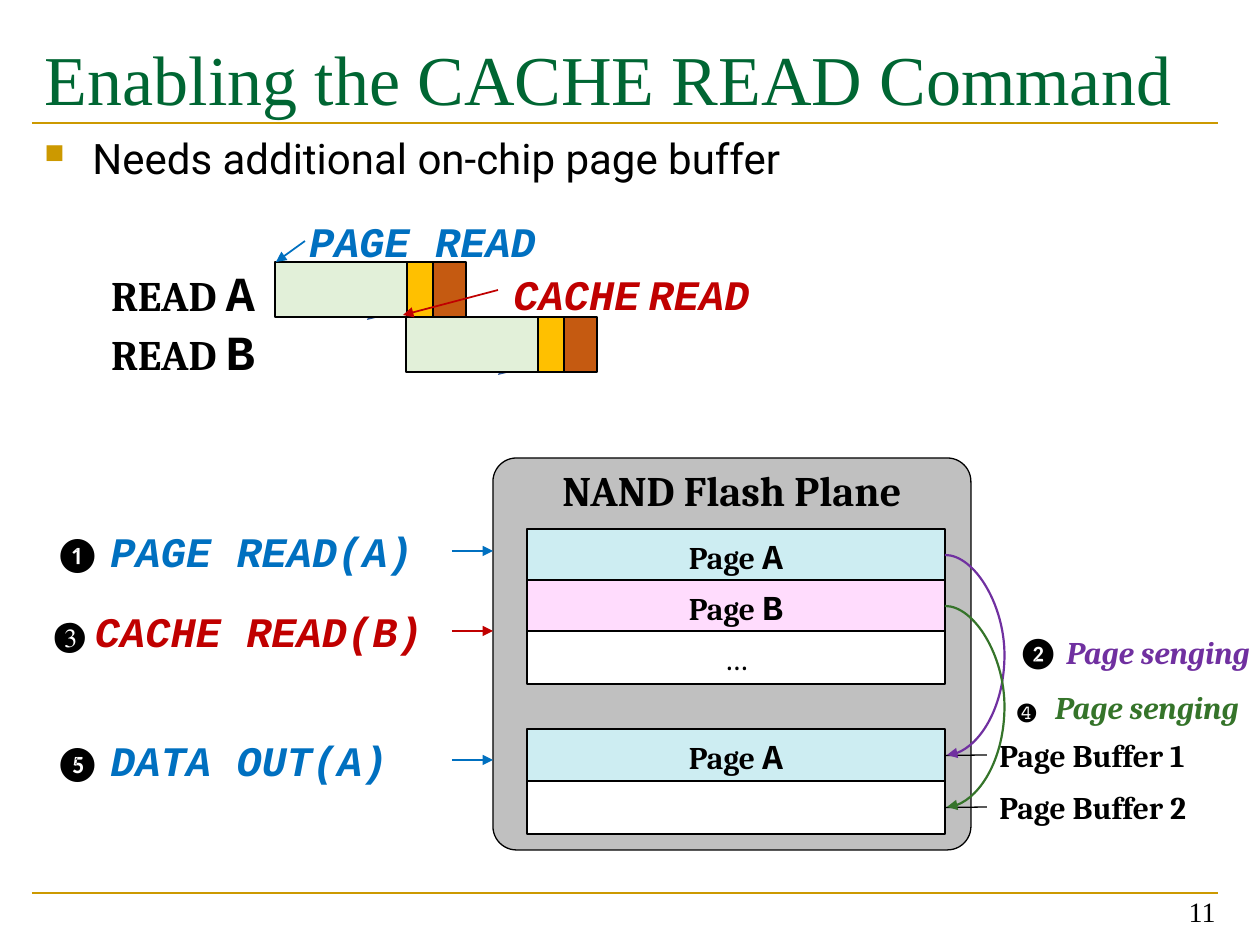
import dataclasses

import lxml.etree
import pptx
import pptx.dml.color
import pptx.enum.shapes
import pptx.enum.text
import pptx.oxml.ns
import pptx.util

SCALE = 914400 / 126  # EMU in one px
SHAPE = pptx.enum.shapes.MSO_SHAPE
CONNECTOR = pptx.enum.shapes.MSO_CONNECTOR
ALIGN = pptx.enum.text.PP_ALIGN
ANCHOR = pptx.enum.text.MSO_ANCHOR
AUTO = pptx.enum.text.MSO_AUTO_SIZE


@dataclasses.dataclass(frozen=True)
class Theme:
    black: str = "000000"
    white: str = "FFFFFF"
    title: str = "006633"
    gold: str = "CC9900"
    blue: str = "0070C0"
    navy: str = "2F5597"
    red: str = "C00000"
    purple: str = "7030A0"
    green: str = "35742A"
    plane: str = "C0C0C0"
    page_a: str = "CDEDF2"
    page_b: str = "FFDCFD"
    stages: tuple = ("E2F0D9", "FFC000", "C55A11")
    serif: str = "Times New Roman"
    body: str = "Roboto"
    label: str = "Cambria"
    code: str = "Courier New"
    symbol: str = "Calibri"
    title_pt: int = 40
    letter_pt: int = 28
    body_pt: int = 24
    page_letter_pt: int = 20
    small_pt: int = 18
    number_pt: int = 16


T = Theme()


def px(n):
    return pptx.util.Emu(round(n * SCALE))


def rgb(color):
    return pptx.dml.color.RGBColor.from_string(color)


def child(parent, tag, **attrs):
    el = lxml.etree.SubElement(parent, pptx.oxml.ns.qn(tag))
    for name, value in attrs.items():
        el.set(name, value)
    return el


def run(text, font=T.label, size=T.body_pt, color=T.black, bold=True, italic=False):
    return dict(text=text, font=font, size=size, color=color, bold=bold, italic=italic)


def code(text, color):
    return run(text, T.code, color=color, italic=True)


def write(tf, runs, align=ALIGN.LEFT, anchor=ANCHOR.TOP, inset=None, auto=AUTO.NONE):
    """Fill a text frame with one paragraph; inset is left, top, right, bottom."""
    tf.word_wrap = True
    tf.auto_size = auto
    tf.vertical_anchor = anchor
    if inset:
        tf.margin_left, tf.margin_top, tf.margin_right, tf.margin_bottom = map(px, inset)
    p = tf.paragraphs[0]
    p.alignment = align
    for spec_run in runs:
        r = p.add_run()
        r.text = spec_run["text"]
        r.font.name = spec_run["font"]
        r.font.size = pptx.util.Pt(spec_run["size"])
        r.font.color.rgb = rgb(spec_run["color"])
        r.font.bold = spec_run["bold"]
        r.font.italic = spec_run["italic"]
    return p


def label(s, x, y, w, h, runs, auto=AUTO.SHAPE_TO_FIT_TEXT, **fmt):
    sp = s.shapes.add_textbox(px(x), px(y), px(w), px(h))
    write(sp.text_frame, runs, auto=auto, **fmt)
    return sp


def box(s, x, y, w, h, fill, width=0.75, kind=SHAPE.RECTANGLE):
    sp = s.shapes.add_shape(kind, px(x), px(y), px(w), px(h))
    sp.shadow.inherit = False
    sp.fill.solid()
    sp.fill.fore_color.rgb = rgb(fill)
    sp.line.color.rgb = rgb(T.black)
    sp.line.width = pptx.util.Pt(width)
    return sp


def line(s, x1, y1, x2, y2, color, width=1.0, arrow=True, kind=CONNECTOR.STRAIGHT):
    sp = s.shapes.add_connector(kind, px(x1), px(y1), px(x2), px(y2))
    sp.line.color.rgb = rgb(color)
    sp.line.width = pptx.util.Pt(width)
    if arrow:
        child(sp.line._get_or_add_ln(), "a:tailEnd", type="triangle")
    child(sp._element.spPr, "a:effectLst")
    return sp


def arc(s, x, y1, y2, bulge, color):
    """Curved arrow that leaves and returns on the same side."""
    gap = 2
    sp = line(s, x, y1, x + gap, y2, color, 1.25, kind=CONNECTOR.CURVE)
    guides = sp._element.spPr.prstGeom.get_or_add_avLst()
    child(guides, "a:gd", name="adj1", fmla=f"val {bulge * 100000 // gap}")


def heading(s, x, y, w, h):
    """Title, rules, bullet and slide number."""
    for rule_y in (893, 123):
        line(s, x, rule_y, x + w, rule_y, T.gold, 1.5, arrow=False)
    title = s.shapes.title
    title.left, title.top, title.width, title.height = px(x), px(y), px(w), px(h)
    write(title.text_frame, [run("Enabling the CACHE READ Command", T.serif,
                                 T.title_pt, T.title, bold=False)], inset=(13, 15, 13, 0))

    bullet = label(s, x, 126, w, 766, [run("Needs additional on-chip page buffer",
                                           T.body, bold=False)], auto=AUTO.NONE)
    pPr = bullet.text_frame.paragraphs[0]._p.get_or_add_pPr()
    indent = px(48)
    pPr.set("marL", str(indent))
    pPr.set("indent", str(-indent))
    child(child(pPr, "a:buClr"), "a:srgbClr", val=T.gold)
    child(pPr, "a:buSzPct", val="65000")
    child(pPr, "a:buChar", char="■")

    label(s, 934, 871, 294, 63, [run("11", T.serif, T.number_pt, bold=False)],
          auto=AUTO.NONE, align=ALIGN.RIGHT, anchor=ANCHOR.BOTTOM)


def timeline(s, x, y):
    """Two overlapping reads, each made of three stages."""
    centred = dict(align=ALIGN.CENTER, anchor=ANCHOR.MIDDLE)
    for i, letter in enumerate("AB"):
        left, top = x + 131 * i, y + 55 * i
        line(s, left + 137, top + 20, left + 92, top + 58, T.navy)
        for fill, w in zip(T.stages, (132, 26, 33)):
            box(s, left, top, w, 55, fill, 1.25)
            left += w
        label(s, x - 213, y + 59 * i, 232, 59,
              [run("READ "), run(letter, T.code, T.letter_pt)], inset=(10, 0, 0, 0), **centred)
    label(s, x + 218, y, 277, 63,
          [code("CACHE", T.red), run(" "), code("READ", T.red)], **centred)
    line(s, x + 223, y + 28, x + 128, y + 53, T.red)
    label(s, x + 9, y - 53, 277, 63, [code("PAGE READ", T.blue)], **centred)
    line(s, x + 30, y - 21, x + 1, y, T.blue)


def flash_plane(s, x, y, w, h):
    """Plane with its pages, page buffers and page transfers."""
    plane = box(s, x, y, w, h, T.plane, kind=SHAPE.ROUNDED_RECTANGLE)
    plane.adjustments[0] = 0.06
    flush = dict(align=ALIGN.CENTER, inset=(0, 0, 0, 0))
    write(plane.text_frame, [run("NAND Flash Plane")], **flush)

    row_h = 53
    right = x + w - 26
    rows = []
    for dy, fill, letter in ((71, T.page_a, "A"), (122, T.page_b, "B"), (173, T.white, "…"),
                             (271, T.page_a, "A"), (323, T.white, "")):
        row = box(s, x + 34, y + dy, right - x - 34, row_h, fill)
        rows.append((row, y + dy + row_h // 2))
        if letter == "…":
            write(row.text_frame, [run(letter, size=T.small_pt, bold=False)],
                  anchor=ANCHOR.MIDDLE, **flush)
        elif letter:
            write(row.text_frame, [run("Page ", size=T.small_pt),
                                   run(letter, T.code, T.page_letter_pt)],
                  anchor=ANCHOR.MIDDLE, **flush)

    transfers = (("❷ ", T.symbol, T.purple), ("❹ ", T.code, T.green))
    for i, (mark, font, color) in enumerate(transfers):
        buffer, mid = rows[3 + i]
        name = label(s, right + 42, mid - 25, 232, 50,
                     [run(f"Page Buffer {i + 1}", size=T.small_pt)])
        lead = line(s, right, mid, right + 42, mid, T.black, 0.75, arrow=False)
        lead.begin_connect(buffer, 3)
        lead.end_connect(name, 1)
        arc(s, right, rows[i][1], mid, 60, color)
        label(s, right + 60, y + 169 + 55 * i, 263, 50,
              [run(mark, font, T.small_pt, bold=False),
               run("Page senging", size=T.small_pt, color=color, italic=True)])


def commands(s, x, w, arrow_end):
    """Numbered commands that point at the plane."""
    for mark, font, text, color, mid in (("❶", T.symbol, "PAGE READ(A)", T.blue, 551),
                                         ("❸", T.label, "CACHE READ(B)", T.red, 631),
                                         ("❺", T.symbol, "DATA OUT(A)", T.blue, 760)):
        sp = label(s, x, mid - 32, w, 64,
                   [run(mark, font, T.page_letter_pt, bold=False),
                    run(" ", T.symbol, bold=False), code(text, color)], anchor=ANCHOR.MIDDLE)
        arrow = line(s, x + w, mid, arrow_end, mid, color, 1.25)
        arrow.begin_connect(sp, 3)


def main():
    prs = pptx.Presentation()
    prs.slide_width, prs.slide_height = px(1260), px(945)
    s = prs.slides.add_slide(prs.slide_layouts[5])
    heading(s, 32, 21, 1186, 93)
    timeline(s, 275, 262)
    flash_plane(s, 493, 458, 478, 392)
    commands(s, 42, 410, 493)
    prs.save("out.pptx")


if __name__ == "__main__":
    main()
